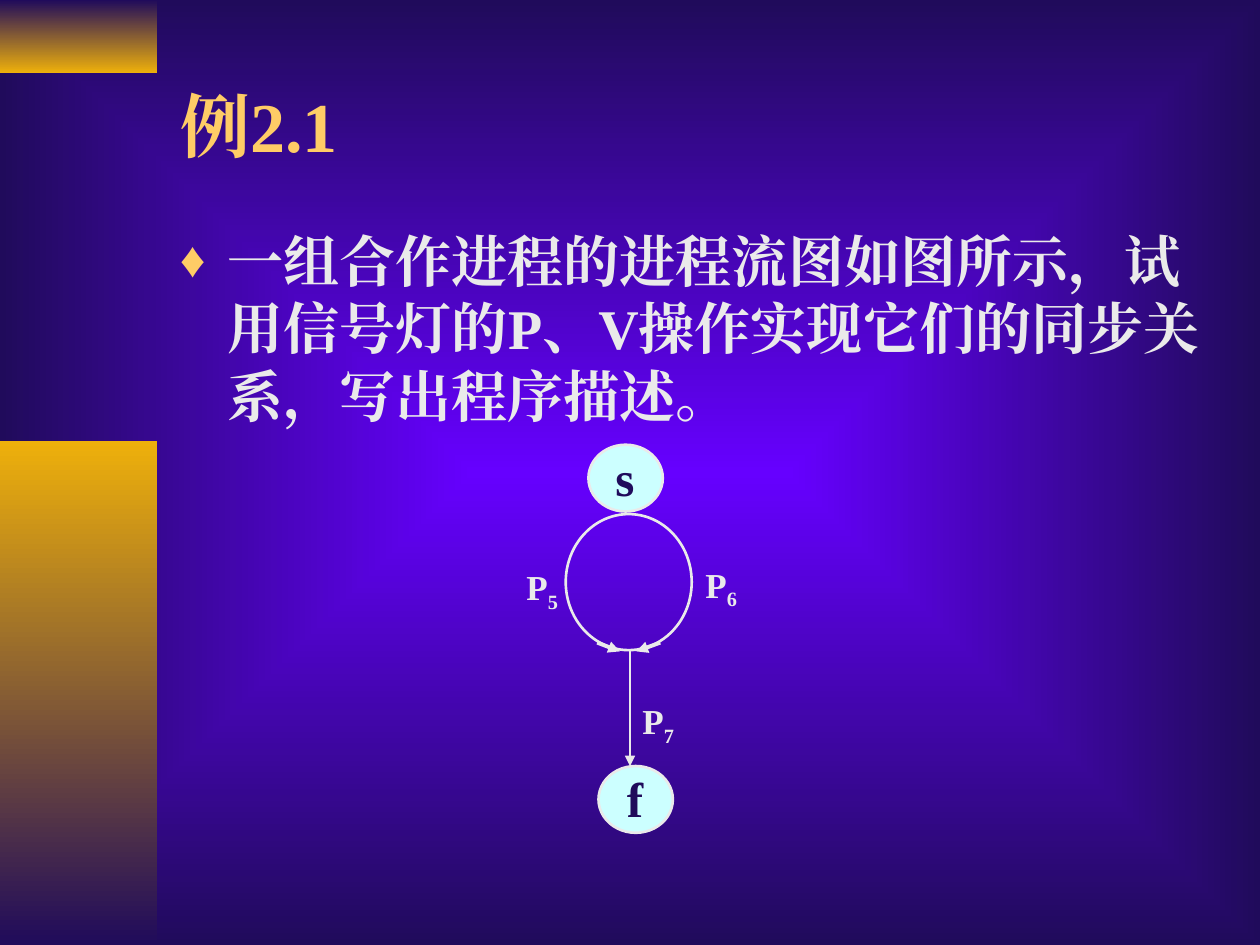
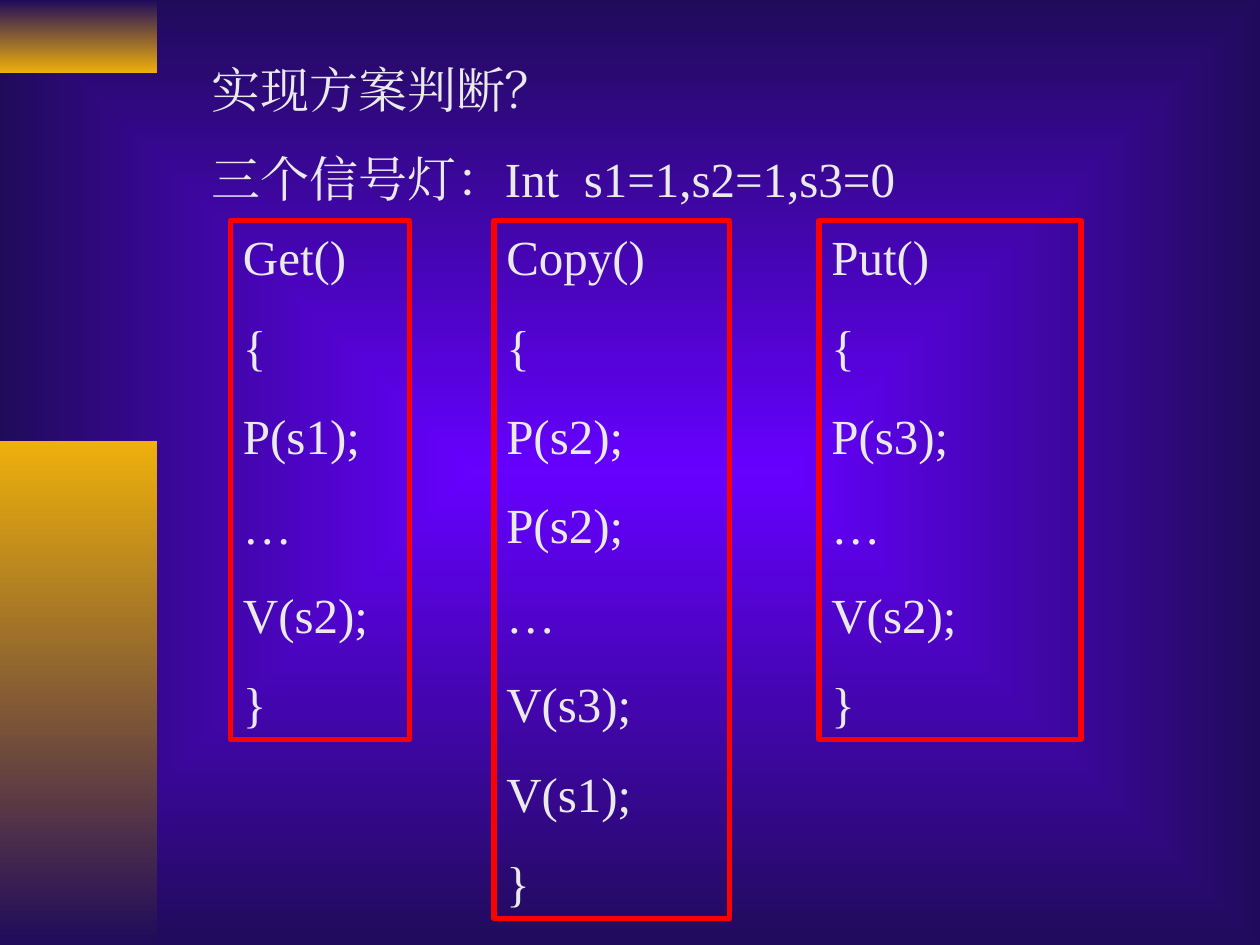
"""Build two slides on process synchronisation with semaphores."""
from lxml.etree import SubElement as Sub
from pptx import Presentation
from pptx.dml.color import RGBColor as RGB
from pptx.enum.shapes import MSO_CONNECTOR as LINE, MSO_SHAPE as SHAPE
from pptx.enum.text import MSO_ANCHOR as ANCHOR, MSO_AUTO_SIZE as AUTO, PP_ALIGN as ALIGN
from pptx.oxml.ns import qn
from pptx.util import Inches, Pt

FACE = "Times New Roman"
HUES = {"glow": "6600FF", "night": "200B5B", "gold": "EEB00B", "title": "FFCC66",
        "text": "EAEAEA", "node": "CCFFFF", "frame": "FF0000"}
BANDS = [((0, 0, 1.25, 0.58), ("night", "gold")), ((0, 3.5, 1.25, 4), ("gold", "night"))]

TITLE = "例2.1"
TASK = "一组合作进程的进程流图如图所示，试用信号灯的P、V操作实现它们的同步关系，写出程序描述。"
LOOP = (4.49, 4.08, 1, 1.08)
NODES = [("s", 4.67, 3.53), ("f", 4.75, 6.08)]
STEPS = [("5", 4.08, 4.44), ("6", 5.5, 4.42), ("7", 5, 5.5)]
ARROWS = [((4.74, 5.1), (4.92, 5.17), 2.25), ((5.24, 5.1), (5.05, 5.17), 2.25),
          ((5, 5.17), (5, 6.08), 1.5)]

INTRO = ["实现方案判断？", "三个信号灯：Int  s1=1,s2=1,s3=0"]
CODE = [
    (1.83, 1.42, ["Get()", "{", "P(s1);", "…", "V(s2);", "}"]),
    (3.92, 1.87, ["Copy()", "{", "P(s2);", "P(s2);", "…", "V(s3);", "V(s1);", "}"]),
    (6.5, 2.08, ["Put()", "{", "P(s3);", "…", "V(s2);", "}"]),
]
PITCH, TRIM = 0.71, 0.14

HEAD = {"size": Pt(40), "bold": True}
BODY = {"size": Pt(32), "bold": True}
MARK = {"size": Pt(28), "bold": True}
STEP = {"size": Pt(20), "bold": True}
PLAIN = {"size": Pt(28), "bold": False}


def color(name):
    return RGB.from_string(HUES[name])


def blend(fill, names):
    fill.gradient()
    for stop, name in zip(fill.gradient_stops, names):
        stop.color.rgb = color(name)


def write(para, text, style, hue="text", base=0):
    run = para.add_run()
    run.text = text
    run.font.name = FACE
    run.font.color.rgb = color(hue)
    for key, val in style.items():
        setattr(run.font, key, val)
    props = run.font._element
    east = Sub(props, qn("a:ea"), typeface=FACE)
    props.find(qn("a:latin")).addnext(east)
    if base:
        props.set("baseline", str(base))


def shape(slide, kind, box, line=None, width=1.5, fill=None):
    item = slide.shapes.add_shape(kind, *map(Inches, box))
    item.shadow.inherit = False
    if fill:
        item.fill.solid()
        item.fill.fore_color.rgb = color(fill)
    else:
        item.fill.background()
    if line:
        item.line.color.rgb = color(line)
        item.line.width = Pt(width)
    else:
        item.line.fill.background()
    return item


def label(slide, box):
    item = slide.shapes.add_textbox(*map(Inches, box))
    item.text_frame.word_wrap = True
    return item.text_frame


def arrow(slide, start, end, width):
    item = slide.shapes.add_connector(LINE.STRAIGHT, *map(Inches, start + end))
    item.line.color.rgb = color("text")
    item.line.width = Pt(width)
    Sub(item.line._get_or_add_ln(), qn("a:tailEnd"), type="triangle")
    Sub(item._element.spPr, qn("a:effectLst"))


def lines(frame, rows):
    frame.word_wrap = True
    frame.auto_size = AUTO.SHAPE_TO_FIT_TEXT
    frame.vertical_anchor = ANCHOR.TOP
    for num, row in enumerate(rows):
        para = frame.add_paragraph() if num else frame.paragraphs[0]
        para.alignment = ALIGN.LEFT
        para.space_before = Pt(17.5)
        write(para, row, PLAIN)


def height(rows):
    return len(rows) * PITCH - TRIM


def theme(deck, slide):
    master = deck.slide_master
    blend(master.background.fill, ("glow", "night"))
    lin = master._element.find(".//" + qn("a:lin"))
    path = Sub(lin.getparent(), qn("a:path"), path="rect")
    Sub(path, qn("a:fillToRect"), dict.fromkeys("ltrb", "50000"))
    lin.getparent().replace(lin, path)
    for num, (box, names) in enumerate(BANDS):
        band = shape(slide, SHAPE.RECTANGLE, box)
        blend(band.fill, names)
        band.fill.gradient_angle = 270
        band._element.nvSpPr.cNvPr.set("id", str(20 + num))
        master.shapes._spTree.insert(2 + num, band._element)


def bullet(para):
    props = para._p.get_or_add_pPr()
    props.set("marL", str(Inches(0.38)))
    props.set("indent", str(Inches(-0.38)))
    Sub(Sub(props, qn("a:buClr")), qn("a:srgbClr"), val=HUES["title"])
    Sub(props, qn("a:buSzPct"), val="90000")
    Sub(props, qn("a:buFont"), typeface=FACE)
    Sub(props, qn("a:buChar"), char="♦")


def draw_flow(slide):
    title = slide.shapes.title
    spots = zip(("left", "top", "width", "height"), (1.33, 0.33, 8.5, 1.32))
    for key, val in spots:
        setattr(title, key, Inches(val))
    frame = title.text_frame
    frame.auto_size = AUTO.NONE
    frame.vertical_anchor = ANCHOR.MIDDLE
    frame.paragraphs[0].alignment = ALIGN.LEFT
    write(frame.paragraphs[0], TITLE, HEAD, "title")

    para = label(slide, (1.33, 1.75, 8.5, 5.25)).paragraphs[0]
    para.space_before = Pt(8)
    bullet(para)
    write(para, TASK, BODY)

    shape(slide, SHAPE.OVAL, LOOP, "text")
    for spec in ARROWS:
        arrow(slide, *spec)
    for name, left, top in NODES:
        shape(slide, SHAPE.OVAL, (left, top, 0.59, 0.53), "text", fill="node")
        para = label(slide, (left + 0.08, top - 0.03, 0.42, 0.53)).paragraphs[0]
        para.alignment = ALIGN.CENTER
        write(para, name, MARK, "night")
    for num, left, top in STEPS:
        para = label(slide, (left, top, 0.49, 0.48)).paragraphs[0]
        para.alignment = ALIGN.JUSTIFY
        write(para, "P", STEP)
        write(para, num, STEP, base=-25000)


def draw_code(slide):
    lines(label(slide, (1.58, 0.42, 6.83, height(INTRO))), INTRO)
    for left, width, rows in CODE:
        box = (left, 1.75, width, height(rows))
        lines(shape(slide, SHAPE.RECTANGLE, box, "frame", 3).text_frame, rows)


def main():
    deck = Presentation()
    deck.slide_width, deck.slide_height = Inches(10), Inches(7.5)
    flow = deck.slides.add_slide(deck.slide_layouts[5])
    theme(deck, flow)
    draw_flow(flow)
    draw_code(deck.slides.add_slide(deck.slide_layouts[6]))
    deck.save("out.pptx")


if __name__ == "__main__":
    main()
